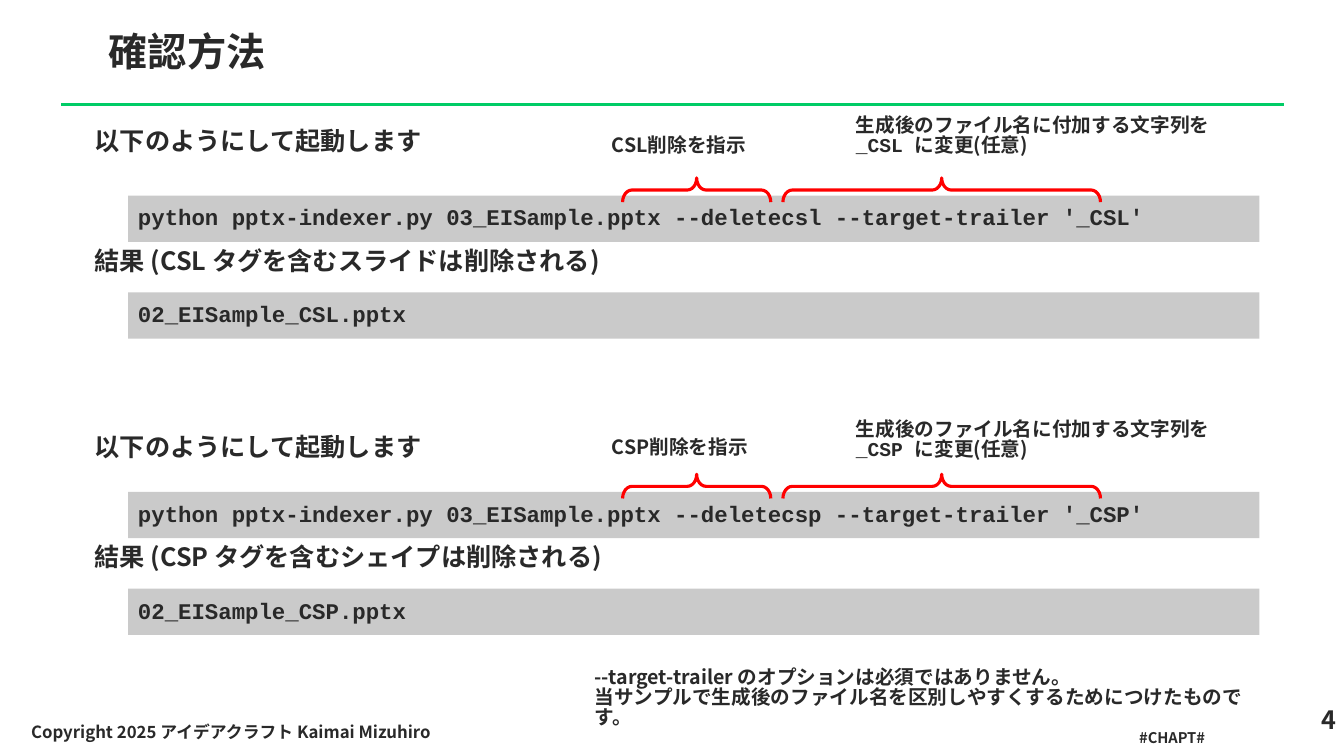
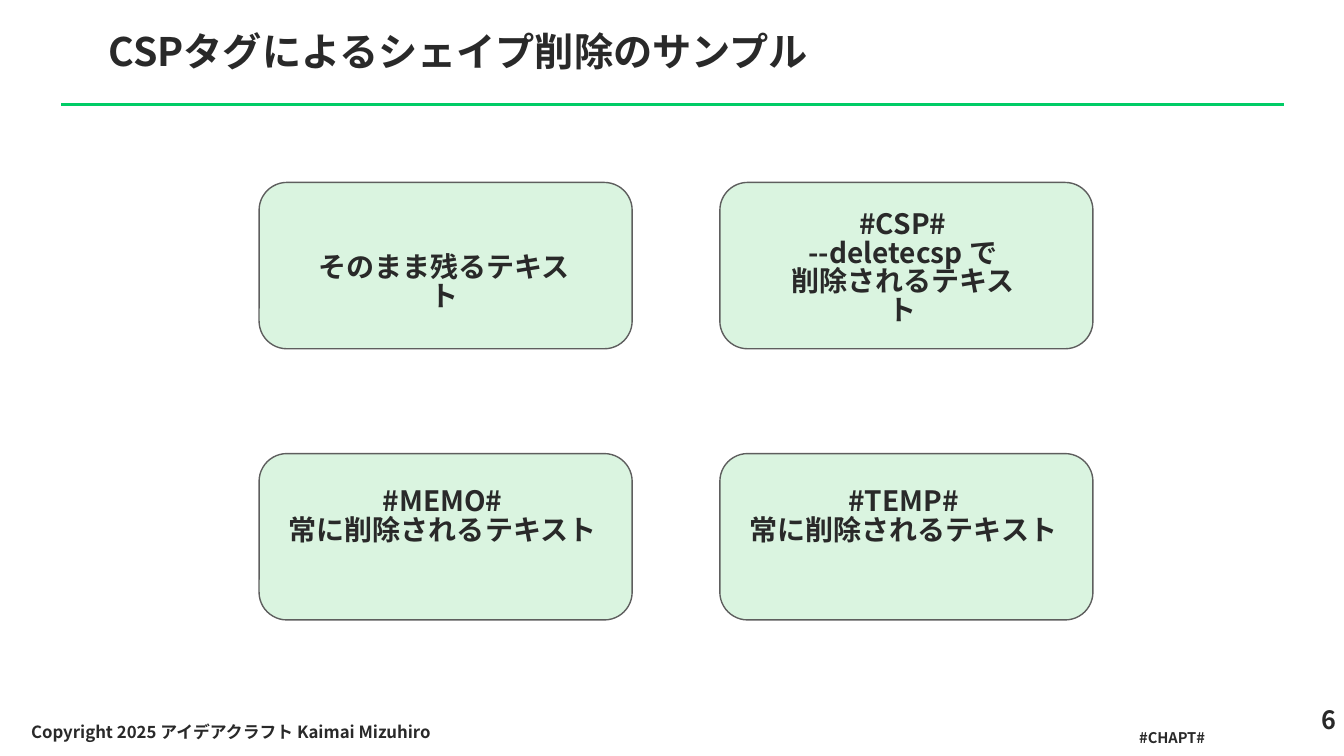
"""Build two slides on checking how tagged slides and shapes are deleted."""
from lxml import etree
from pptx import Presentation
from pptx.dml.color import RGBColor
from pptx.enum.shapes import MSO_CONNECTOR as Connector, MSO_SHAPE as Shape
from pptx.enum.text import MSO_ANCHOR as Anchor, PP_ALIGN as Align
from pptx.oxml.ns import qn
from pptx.util import Emu, Pt

PX = 9144
COLORS = {
    "text": "292929",
    "rule": "00CC66",
    "code_bar": "CACACA",
    "brace": "FF0000",
    "card": "DAF4E0",
    "card_edge": "5E5E5E",
}
SANS = "Noto Sans CJK JP"
MONO = "Courier New"
COPYRIGHT = "Copyright 2025 アイデアクラフト Kaimai Mizuhiro"


def px(*lengths):
    return [Emu(length * PX) for length in lengths]


def rgb(name):
    return RGBColor.from_string(COLORS[name])


def write(frame, paragraphs, size, align=Align.LEFT, anchor=Anchor.TOP, spacing=0.85):
    frame.word_wrap = True
    frame.vertical_anchor = anchor
    for index, runs in enumerate(paragraphs):
        paragraph = frame.paragraphs[0] if index == 0 else frame.add_paragraph()
        paragraph.alignment = align
        paragraph.line_spacing = spacing
        for words, family in runs:
            run = paragraph.add_run()
            run.text = words
            run.font.size = Pt(size)
            run.font.bold = True
            run.font.name = family
            run.font.color.rgb = rgb("text")
            east_asian = etree.Element(qn("a:ea"), typeface=SANS)
            run.font._element.find(qn("a:latin")).addnext(east_asian)


def add_text(slide, box, lines, size, **layout):
    label = slide.shapes.add_textbox(*px(*box))
    write(label.text_frame, [[(line, SANS)] for line in lines], size, **layout)


def add_block(slide, kind, box, fill=None, line=None, width=1):
    block = slide.shapes.add_shape(kind, *px(*box))
    block.shadow.inherit = False
    if fill:
        block.fill.solid()
        block.fill.fore_color.rgb = rgb(fill)
    else:
        block.fill.background()
    if line:
        block.line.color.rgb = rgb(line)
        block.line.width = Pt(width)
    else:
        block.line.fill.background()
    return block


def add_code(slide, top, code):
    bar = add_block(slide, Shape.RECTANGLE, (127, top, 1122, 46), fill="code_bar")
    bar.text_frame.margin_top = px(8)[0]
    write(bar.text_frame, [[(code, MONO)]], 16, spacing=1.0)


def add_brace(slide, left, middle, span):
    depth = 24
    box = (left + (span - depth) // 2, middle - span // 2, depth, span)
    brace = add_block(slide, Shape.RIGHT_BRACE, box, line="brace", width=2.25)
    brace.rotation = 270
    brace.adjustments[0] = 0.386
    brace.adjustments[1] = 0.5


def add_base(deck, title, number):
    slide = deck.slides.add_slide(deck.slide_layouts[6])
    rule = slide.shapes.add_connector(Connector.STRAIGHT, *px(61, 104, 1273, 104))
    rule.line.color.rgb = rgb("rule")
    rule.line.width = Pt(2.25)
    etree.SubElement(rule._element.spPr, qn("a:effectLst"))
    add_text(slide, (98, 29, 1198, 71), [title], 28)
    add_text(slide, (1171, 698, 164, 50), [number], 18, align=Align.RIGHT)
    add_text(slide, (21, 708, 606, 40), [COPYRIGHT], 12, anchor=Anchor.MIDDLE)
    add_text(slide, (1072, 721, 181, 29), ["#CHAPT#"], 10.5, align=Align.CENTER)
    return slide


def add_check(slide, tag, target, bar_top, launch_top, delete_top, trailer_top):
    add_text(slide, (84, launch_top, 1142, 46), ["以下のようにして起動します"], 18)
    add_code(
        slide,
        bar_top,
        f"python pptx-indexer.py 03_EISample.pptx --delete{tag.lower()}"
        f" --target-trailer '_{tag}'",
    )
    result = f"結果 ({tag} タグを含む{target}は削除される)"
    add_text(slide, (84, bar_top + 49, 638, 46), [result], 18)
    add_code(slide, bar_top + 96, f"02_EISample_{tag}.pptx")
    add_text(slide, (597, delete_top, 220, 34), [f"{tag}削除を指示"], 14)
    trailer = slide.shapes.add_textbox(*px(839, trailer_top, 382, 57))
    write(
        trailer.text_frame,
        [[
            ("生成後のファイル名に付加する文字列を ", SANS),
            (f"_{tag} ", MONO),
            ("に変更(任意)", SANS),
        ]],
        14,
    )
    for left, span in ((618, 147), (777, 315)):
        add_brace(slide, left, bar_top - 6, span)


def add_check_slide(deck):
    slide = add_base(deck, "確認方法", "4")
    add_check(slide, "CSL", "スライド", 194, 124, 131, 111)
    add_check(slide, "CSP", "シェイプ", 488, 428, 430, 412)
    remarks = [
        "--target-trailer のオプションは必須ではありません。",
        "当サンプルで生成後のファイル名を区別しやすくするためにつけたものです。",
    ]
    add_text(slide, (580, 658, 677, 57), remarks, 14)


def add_sample_slide(deck):
    slide = add_base(deck, "CSPタグによるシェイプ削除のサンプル", "6")
    samples = [
        ((293, 248, 295, 44), ["そのまま残るテキスト"]),
        ((761, 205, 269, 111), ["#CSP#", "--deletecsp で", "削除されるテキスト"]),
        ((276, 480, 326, 111), ["#MEMO#", "常に削除されるテキスト"]),
        ((733, 480, 326, 111), ["#TEMP#", "常に削除されるテキスト"]),
    ]
    for index, (box, lines) in enumerate(samples):
        row, column = divmod(index, 2)
        card = (257 + column * 457, 181 + row * 269, 370, 165)
        add_block(slide, Shape.ROUNDED_RECTANGLE, card, fill="card", line="card_edge")
        add_text(slide, box, lines, 20, align=Align.CENTER)


def main():
    deck = Presentation()
    deck.slide_width, deck.slide_height = px(1333, 750)
    add_check_slide(deck)
    add_sample_slide(deck)
    deck.save("out.pptx")


if __name__ == "__main__":
    main()
